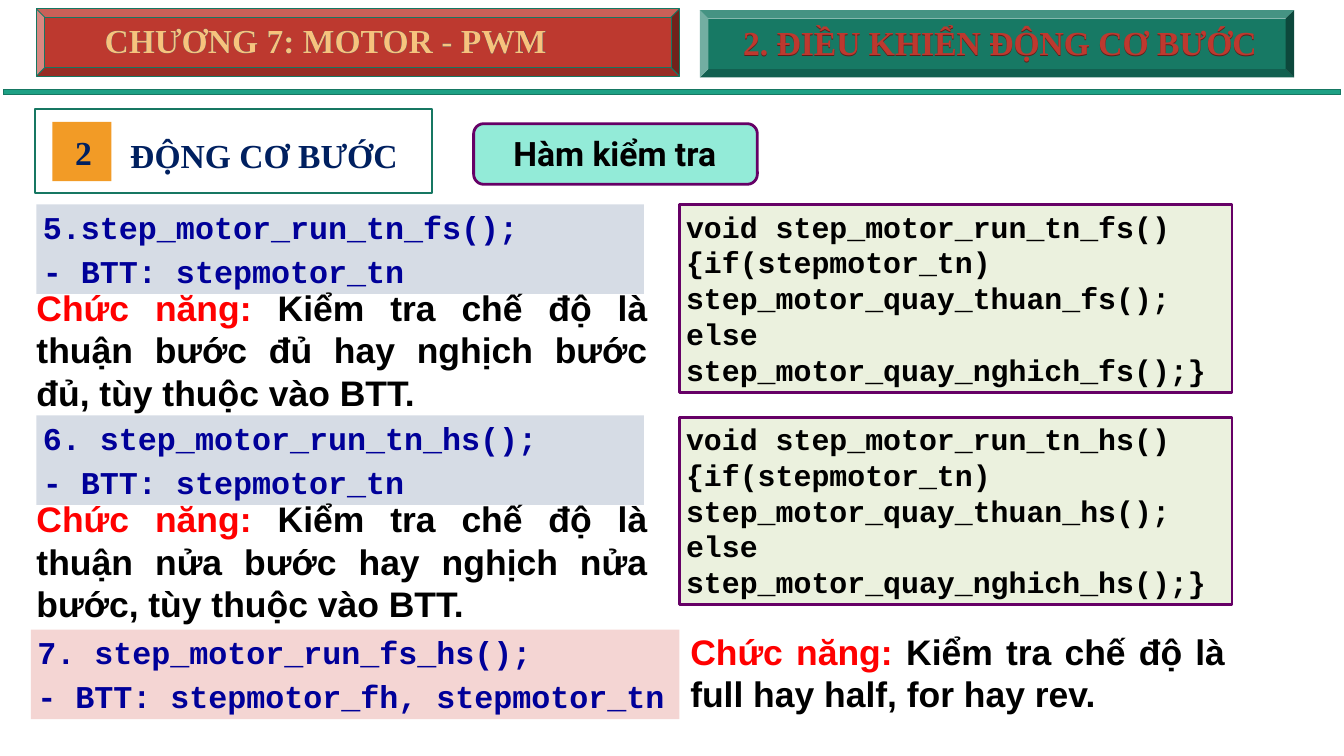
from dataclasses import dataclass
from typing import Optional

from lxml.etree import SubElement
from pptx import Presentation
from pptx.dml.color import RGBColor
from pptx.enum.shapes import MSO_SHAPE
from pptx.enum.text import MSO_ANCHOR, PP_ALIGN
from pptx.oxml.ns import qn
from pptx.util import Pt

COLORS = {
    "red": "BD392F", "dark red": "5E1C18", "bright red": "FF0000",
    "green": "177964", "dark green": "167762", "teal": "1EA185",
    "mint": "93EBD8", "orange": "F29B26", "gold": "F7C37D",
    "navy": "002060", "code blue": "000099", "purple": "660066",
    "grey": "D6DCE5", "pink": "F4D5D3", "pale green": "EBF1DE", "black": "000000",
}


@dataclass
class Box:
    """Position and size in points."""
    left: float
    top: float
    width: float
    height: float


@dataclass
class Panel:
    """Preset shape with an optional fill and border."""
    kind: MSO_SHAPE
    box: Box
    fill: Optional[str] = None
    line: Optional[str] = None
    line_width: float = 1


@dataclass
class Label:
    """Single line of heading text, with an optional glyph outline."""
    text: str
    box: Box
    color: str
    font: str = "Times New Roman"
    outline: Optional[str] = None
    outline_width: float = 0


@dataclass
class Call:
    """Highlighted function call with its variables."""
    box: Box
    fill: str
    lines: list[str]


@dataclass
class Purpose:
    """Explanation of what a function does."""
    box: Box
    text: str


def color(name: str) -> RGBColor:
    """Return the named colour."""
    return RGBColor.from_string(COLORS[name])


def place(box: Box) -> tuple:
    """Return the box as four lengths."""
    return Pt(box.left), Pt(box.top), Pt(box.width), Pt(box.height)


def style_run(run, font: str, size: float, color_name: str) -> None:
    """Make a run bold in the given font, size and colour."""
    run.font.name = font
    run.font.size = Pt(size)
    run.font.bold = True
    run.font.color.rgb = color(color_name)


def draw_panel(slide, panel: Panel):
    """Draw a preset shape."""
    shape = slide.shapes.add_shape(panel.kind, *place(panel.box))
    shape.shadow.inherit = False
    if panel.fill:
        shape.fill.solid()
        shape.fill.fore_color.rgb = color(panel.fill)
    else:
        shape.fill.background()
    if panel.line:
        shape.line.color.rgb = color(panel.line)
        shape.line.width = Pt(panel.line_width)
    else:
        shape.line.fill.background()
    return shape


def draw_label(slide, label: Label) -> None:
    """Draw a heading label."""
    shape = slide.shapes.add_textbox(*place(label.box))
    shape.text_frame.word_wrap = True
    shape.text_frame.text = label.text
    run = shape.text_frame.paragraphs[0].runs[0]
    style_run(run, label.font, 36, label.color)
    if label.outline:
        properties = run._r.get_or_add_rPr()
        line = SubElement(properties, qn("a:ln"), w=str(Pt(label.outline_width)))
        fill = SubElement(line, qn("a:solidFill"))
        SubElement(fill, qn("a:srgbClr"), val=COLORS[label.outline])
        properties.insert(0, line)


def fill_code(shape, lines: list[str], size: float, color_name: str,
              alignment: PP_ALIGN, space_after: float) -> None:
    """Write code lines into a shape."""
    frame = shape.text_frame
    frame.word_wrap = True
    frame.vertical_anchor = MSO_ANCHOR.TOP
    frame.text = "\n".join(lines)
    for paragraph in frame.paragraphs:
        paragraph.alignment = alignment
        paragraph.space_after = Pt(space_after)
        style_run(paragraph.runs[0], "Courier New", size, color_name)


def draw_call(slide, call: Call) -> None:
    """Draw a highlighted function call."""
    shape = draw_panel(slide, Panel(MSO_SHAPE.RECTANGLE, call.box, call.fill))
    fill_code(shape, call.lines, 34, "code blue", PP_ALIGN.LEFT, 6)


def draw_function(slide, top: float, suffix: str) -> None:
    """Draw the body of a test function."""
    box = Box(728, top, 592, 201)
    shape = draw_panel(slide, Panel(MSO_SHAPE.RECTANGLE, box, "pale green", "purple", 3))
    lines = [
        f"void step_motor_run_tn_{suffix}()",
        "{if(stepmotor_tn)",
        f"step_motor_quay_thuan_{suffix}();",
        f"else step_motor_quay_nghich_{suffix}();}}",
    ]
    fill_code(shape, lines, 32, "black", PP_ALIGN.JUSTIFY, 0)


def draw_purpose(slide, purpose: Purpose) -> None:
    """Draw an explanation with its red lead-in."""
    shape = slide.shapes.add_textbox(*place(purpose.box))
    shape.text_frame.word_wrap = True
    paragraph = shape.text_frame.paragraphs[0]
    paragraph.alignment = PP_ALIGN.JUSTIFY
    for text, color_name in (("Chức năng: ", "bright red"), (purpose.text, "black")):
        run = paragraph.add_run()
        run.text = text
        style_run(run, "Arial", 38, color_name)


CHAPTER = "CHƯƠNG 7: MOTOR - PWM"
SECTION = "2. ĐIỀU KHIỂN ĐỘNG CƠ BƯỚC"

PANELS = [
    Panel(MSO_SHAPE.RECTANGLE, Box(56, 130.5, 63.5, 63.5), "orange"),
    Panel(MSO_SHAPE.RECTANGLE, Box(37.5, 116.5, 425, 90), None, "dark green", 2),
    Panel(MSO_SHAPE.MATH_MINUS, Box(-255, 86.5, 1950, 24), "teal", "dark green"),
    Panel(MSO_SHAPE.ROUNDED_RECTANGLE, Box(507.5, 132.5, 304, 65), "mint", "purple", 3),
    Panel(MSO_SHAPE.BEVEL, Box(39, 9.5, 689, 72), "red", "dark green"),
    Panel(MSO_SHAPE.BEVEL, Box(750, 11, 636.5, 72), "green"),
]
LABELS = [
    Label("ĐỘNG CƠ BƯỚC", Box(132.5, 140.5, 324, 51), "navy"),
    Label("2", Box(73.5, 137.5, 33, 51), "navy"),
    Label("Hàm kiểm tra", Box(543, 139, 316, 51), "black", "Roboto"),
    Label(SECTION, Box(789, 21, 594, 51), "dark red", outline="gold", outline_width=2.25),
    Label(SECTION, Box(789, 20, 594, 51), "red"),
    Label(CHAPTER, Box(105, 17.5, 882, 51), "navy", outline="teal", outline_width=2.75),
    Label(CHAPTER, Box(105, 17.5, 560, 51), "gold"),
]
CALLS = [
    Call(Box(39, 219, 651, 96), "grey", ["5.step_motor_run_tn_fs();", "- BTT: stepmotor_tn"]),
    Call(Box(39, 445, 651, 96), "grey", ["6. step_motor_run_tn_hs();", "- BTT: stepmotor_tn"]),
    Call(Box(33, 674.5, 695, 96), "pink",
         ["7. step_motor_run_fs_hs();", "- BTT: stepmotor_fh, stepmotor_tn"]),
]
PURPOSES = [
    Purpose(Box(32, 302.5, 669, 145),
            "Kiểm tra chế độ là thuận bước đủ hay nghịch bước đủ, tùy thuộc vào BTT."),
    Purpose(Box(32, 529, 669, 145),
            "Kiểm tra chế độ là thuận nửa bước hay nghịch nửa bước, tùy thuộc vào BTT."),
    Purpose(Box(732.5, 671, 587.5, 99), "Kiểm tra chế độ là full hay half, for hay rev."),
]


def main() -> None:
    """Build the slide and save it."""
    presentation = Presentation()
    presentation.slide_width, presentation.slide_height = Pt(1440), Pt(810)
    slide = presentation.slides.add_slide(presentation.slide_layouts[6])
    for draw, items in ((draw_panel, PANELS), (draw_label, LABELS),
                        (draw_call, CALLS), (draw_purpose, PURPOSES)):
        for item in items:
            draw(slide, item)
    for top, suffix in ((219.5, "fs"), (447, "hs")):
        draw_function(slide, top, suffix)
    presentation.save("out.pptx")


if __name__ == "__main__":
    main()
